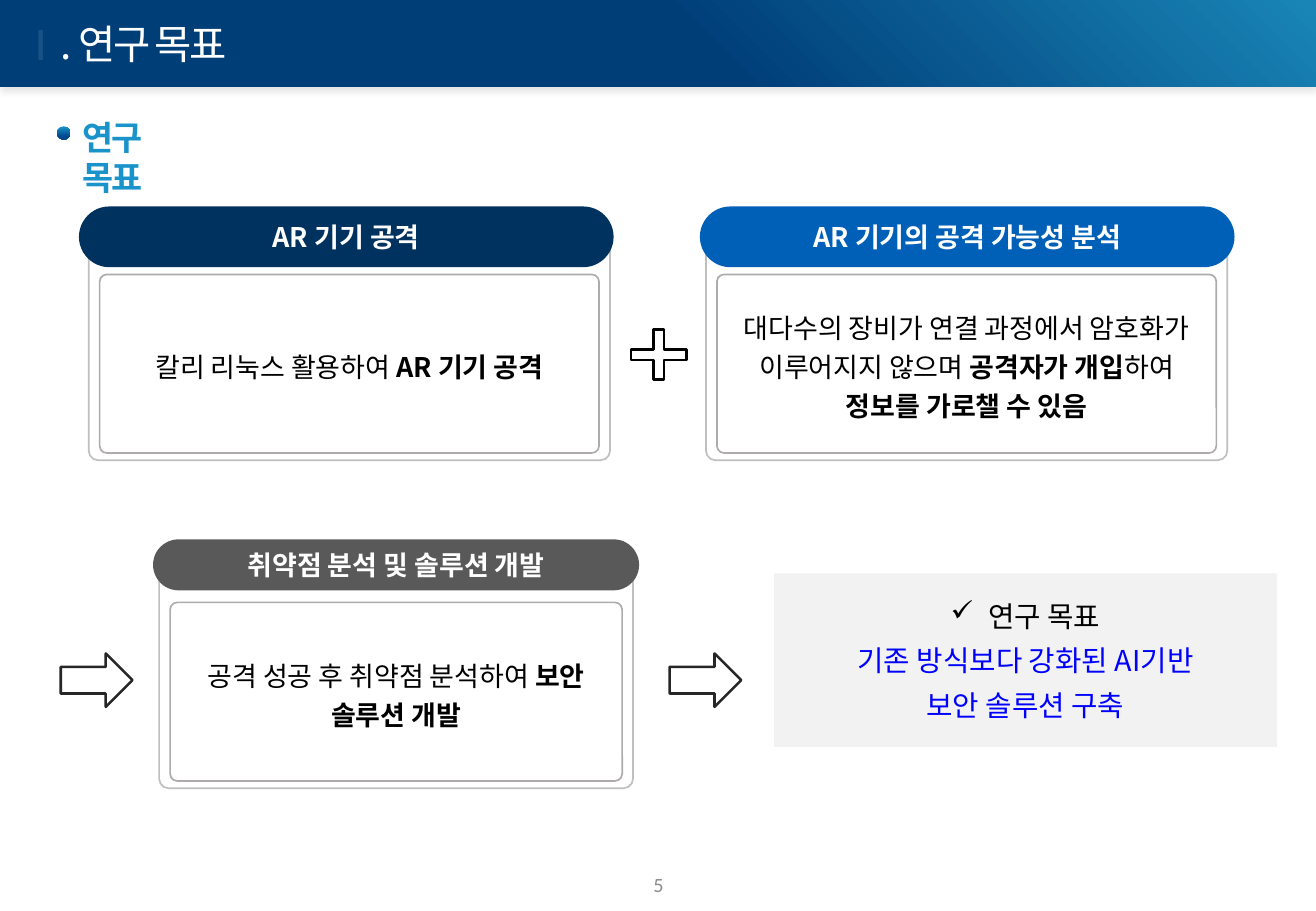
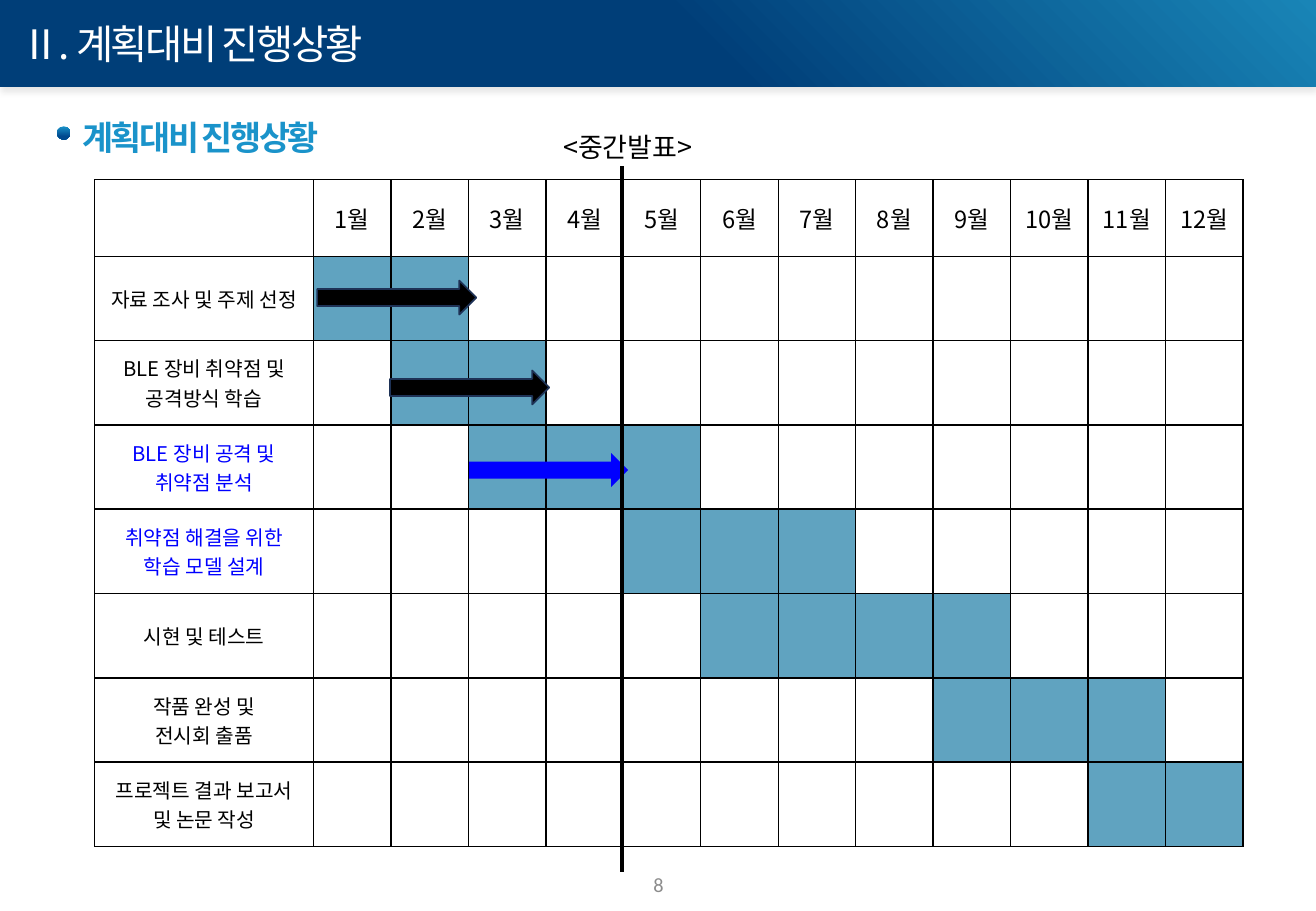
from lxml import etree
from pptx import Presentation
from pptx.dml.color import RGBColor
from pptx.enum.shapes import MSO_CONNECTOR, MSO_SHAPE
from pptx.enum.text import MSO_ANCHOR, PP_ALIGN
from pptx.oxml.ns import qn
from pptx.util import Inches, Pt

RECTANGLE = MSO_SHAPE.RECTANGLE
ROUNDED = MSO_SHAPE.ROUNDED_RECTANGLE
RIGHT_ARROW = MSO_SHAPE.RIGHT_ARROW
OVAL = MSO_SHAPE.OVAL
PLUS = MSO_SHAPE.MATH_PLUS
STRAIGHT = MSO_CONNECTOR.STRAIGHT
MIDDLE, TOP = MSO_ANCHOR.MIDDLE, MSO_ANCHOR.TOP
CENTER, LEFT = PP_ALIGN.CENTER, PP_ALIGN.LEFT

WHITE = RGBColor(0xFF, 0xFF, 0xFF)
BLACK = RGBColor(0x00, 0x00, 0x00)
BLUE = RGBColor(0x00, 0x00, 0xFF)
SKY = RGBColor(0x1A, 0x93, 0xCA)
DEEP_SKY = RGBColor(0x00, 0x49, 0x8E)
BAND_LIGHT = RGBColor(0x19, 0x85, 0xB7)
BAND_DARK = RGBColor(0x00, 0x3E, 0x78)
NAVY = RGBColor(0x00, 0x32, 0x60)
ROYAL = RGBColor(0x00, 0x60, 0xB8)
GRAY = RGBColor(0x59, 0x59, 0x59)
CARD_LINE = RGBColor(0xBF, 0xBF, 0xBF)
INNER_LINE = RGBColor(0xAF, 0xAB, 0xAB)
PANEL = RGBColor(0xF2, 0xF2, 0xF2)
CHARCOAL = RGBColor(0x26, 0x26, 0x26)
NUMBER_GRAY = RGBColor(0x8C, 0x8C, 0x8C)
PLAN_FILL = RGBColor(0x60, 0xA3, 0xC0)
ARROW_LINE = RGBColor(0x1E, 0x32, 0x56)

KOREAN = "Noto Sans CJK KR"
LATIN = "Calibri"
SLIDE_WIDTH, SLIDE_HEIGHT = 10.83, 7.5


def add_child(parent, tag, **attributes):
    child = etree.SubElement(parent, qn(tag))
    for name, value in attributes.items():
        child.set(name, str(value))
    return child


def add_alpha_color(parent, color, alpha):
    color_element = add_child(parent, "a:srgbClr", val=color)
    add_child(color_element, "a:alpha", val=alpha * 1000)


def outline_text(run, color, alpha):
    properties = run.font._element
    line = add_child(properties, "a:ln", w=Pt(0.25))
    add_alpha_color(add_child(line, "a:solidFill"), color, alpha)
    properties.insert(0, line)


def add_run(paragraph, text, size=16, color=BLACK, bold=False, font=KOREAN,
            spacing=0, faint_outline=False):
    for index, part in enumerate(text.split("\n")):
        if index:
            paragraph.add_line_break()
        run = paragraph.add_run()
        run.text = part
        run.font.size = Pt(size)
        run.font.bold = bold
        run.font.color.rgb = color
        run.font.name = font
        properties = run.font._element
        add_child(properties, "a:ea", typeface=font)
        if spacing:
            properties.set("spc", str(round(spacing * 100)))
        if faint_outline:
            outline_text(run, WHITE, 10)


def write_text(frame, paragraphs, align=CENTER, anchor=MIDDLE, line_spacing=None,
               before=0, after=0, **style):
    """Each paragraph is a string or a list of (text, style changes)."""
    frame.word_wrap = True
    frame.vertical_anchor = anchor
    for index, runs in enumerate(paragraphs):
        paragraph = frame.add_paragraph() if index else frame.paragraphs[0]
        paragraph.alignment = align
        if line_spacing:
            paragraph.line_spacing = line_spacing
        if before and index:
            paragraph.space_before = Pt(before)
        if after:
            paragraph.space_after = Pt(after)
        for text, changes in [(runs, {})] if isinstance(runs, str) else runs:
            add_run(paragraph, text, **{**style, **changes})


def add_text(slide, box, paragraphs, **style):
    text_box = slide.shapes.add_textbox(*map(Inches, box))
    write_text(text_box.text_frame, paragraphs, **style)


def add_box(slide, kind, box, fill, line=None, line_width=1, adjustment=None):
    shape = slide.shapes.add_shape(kind, *map(Inches, box))
    shape.shadow.inherit = False
    if isinstance(fill, RGBColor):
        shape.fill.solid()
        shape.fill.fore_color.rgb = fill
    if line is None:
        shape.line.fill.background()
    else:
        shape.line.color.rgb = line
        shape.line.width = Pt(line_width)
    if adjustment is not None:
        shape.adjustments[0] = adjustment
    return shape


def fill_gradient(shape, start, end, end_position, angle):
    shape.fill.gradient()
    shape.fill.gradient_angle = angle
    stops = shape.fill.gradient_stops
    for stop, color, position in zip(stops, (start, end), (0, end_position)):
        stop.color.rgb = color
        stop.position = position


# Parts that both slides share
def add_frame(slide, title_runs, heading, heading_width, number):
    band = add_box(slide, RECTANGLE, (0, 0, SLIDE_WIDTH, 0.71), None)
    fill_gradient(band, BAND_LIGHT, BAND_DARK, 0.47, 225)
    effects = band._element.spPr.find(qn("a:effectLst"))
    shadow = add_child(effects, "a:outerShdw", blurRad=Pt(4), dist=Pt(3),
                       dir=5400000, algn="t", rotWithShape=0)
    add_alpha_color(shadow, BLACK, 10)
    add_text(slide, (0.07, 0.11, 3.84, 0.5), [title_runs], align=LEFT, anchor=TOP,
             size=24, color=WHITE, spacing=-1.5)
    dot = add_box(slide, OVAL, (0.47, 1.04, 0.11, 0.11), None)
    fill_gradient(dot, SKY, DEEP_SKY, 0.76, 270)
    add_text(slide, (0.58, 0.91, heading_width, 0.44), [heading], align=LEFT,
             anchor=TOP, size=20, color=SKY, bold=True, spacing=-1.5)
    add_text(slide, (4.2, 7.08, 2.44, 0.4), [number], size=12, font=LATIN,
             color=NUMBER_GRAY)


def add_card(slide, box, header_box, header_color, header, body):
    left, top, width, height = box
    add_box(slide, ROUNDED, box, WHITE, CARD_LINE, adjustment=0.04)
    pill = add_box(slide, ROUNDED, header_box, header_color, adjustment=0.5)
    write_text(pill.text_frame, [header], color=WHITE, bold=True)
    inner_box = (left + 0.09, top + 0.43, width - 0.18, height - 0.49)
    inner = add_box(slide, ROUNDED, inner_box, WHITE, INNER_LINE, adjustment=0.04)
    write_text(inner.text_frame, [body], line_spacing=1.2, after=4)


def add_goal_panel(slide, box):
    panel = add_box(slide, RECTANGLE, box, PANEL)
    blue = {"color": BLUE}
    write_text(panel.text_frame,
               ["연구 목표", [("기존 방식보다 강화된 AI기반", blue)],
                [("보안 솔루션 구축", blue)]],
               size=17, before=6)
    properties = panel.text_frame.paragraphs[0]._p.get_or_add_pPr()
    properties.set("marL", str(Inches(0.31)))
    properties.set("indent", str(Inches(-0.31)))
    add_child(properties, "a:buChar", char="✓")


def build_goal_slide(slide):
    add_frame(slide, [("Ⅰ", {"spacing": -0.7, "faint_outline": True}),
                      (". 연구 목표", {})], "연구 목표", 1.15, "5")
    bold = {"bold": True}
    cards = [
        ((0.73, 1.83, 4.29, 1.96), (0.65, 1.7, 4.4, 0.5), NAVY, "AR 기기 공격",
         [("칼리 리눅스 활용하여 ", {}), ("AR 기기 공격", bold)]),
        ((5.81, 1.83, 4.29, 1.96), (5.76, 1.7, 4.4, 0.5), ROYAL,
         "AR 기기의 공격 가능성 분석",
         [("대다수의 장비가 연결 과정에서 암호화가 이루어지지 않으며 ", {}),
          ("공격자가 개입", bold), ("하여 ", {}), ("정보를 가로챌 수 있음", bold)]),
        ((1.31, 4.53, 3.9, 1.96), (1.26, 4.44, 4, 0.42), GRAY,
         "취약점 분석 및 솔루션 개발",
         [("공격 성공 후 취약점 분석하여 ", {}), ("보안 솔루션 개발", bold)]),
    ]
    for card in cards:
        add_card(slide, *card)
    add_box(slide, PLUS, (5.11, 2.64, 0.62, 0.56), WHITE, BLACK, 1.5, 0.153)
    for left in (0.5, 5.51):
        add_box(slide, RIGHT_ARROW, (left, 5.38, 0.59, 0.44), WHITE, CHARCOAL, 1.5)
    add_goal_panel(slide, (6.37, 4.72, 4.14, 1.43))


# Schedule: label paragraphs, label colour, first and last planned month
TASKS = [
    (["자료 조사 및 주제 선정"], BLACK, 1, 2),
    (["BLE 장비 취약점 및\n공격방식 학습"], BLACK, 2, 3),
    (["BLE 장비 공격 및\n취약점 분석"], BLUE, 3, 5),
    (["취약점 해결을 위한\n학습 모델 설계"], BLUE, 5, 7),
    (["시현 및 테스트"], BLACK, 6, 9),
    (["작품 완성 및", "전시회 출품"], BLACK, 9, 11),
    (["프로젝트 결과 보고서 및 논문 작성"], BLACK, 11, 12),
]


def format_cell(cell, fill=None):
    if fill is None:
        cell.fill.background()
    else:
        cell.fill.solid()
        cell.fill.fore_color.rgb = fill
    properties = cell._tc.get_or_add_tcPr()
    for index, side in enumerate(("a:lnL", "a:lnR", "a:lnT", "a:lnB")):
        border = add_child(properties, side, w=Pt(1))
        add_child(add_child(border, "a:solidFill"), "a:srgbClr", val=BLACK)
        properties.insert(index, border)


def add_schedule(slide, box, label_width=1.8, header_height=0.63):
    left, top, width, height = box
    table = slide.shapes.add_table(len(TASKS) + 1, 13, *map(Inches, box)).table
    table.first_row = table.horz_banding = False
    for index, column in enumerate(table.columns):
        column.width = Inches((width - label_width) / 12 if index else label_width)
    for index, row in enumerate(table.rows):
        row.height = Inches((height - header_height) / len(TASKS) if index
                            else header_height)
    format_cell(table.cell(0, 0))
    for month in range(1, 13):
        cell = table.cell(0, month)
        format_cell(cell)
        write_text(cell.text_frame, [f"{month}월"], size=14)
        cell.vertical_anchor = MIDDLE
    for row, (label, color, first, last) in enumerate(TASKS, start=1):
        cell = table.cell(row, 0)
        format_cell(cell)
        write_text(cell.text_frame, label, size=12, color=color)
        cell.vertical_anchor = MIDDLE
        for month in range(1, 13):
            planned = first <= month <= last
            format_cell(table.cell(row, month), PLAN_FILL if planned else None)


def build_schedule_slide(slide):
    add_frame(slide, [("Ⅱ. 계획대비 진행상황", {})], "계획대비 진행상황", 2.3, "8")
    add_schedule(slide, (0.78, 1.48, 9.45, 5.49))
    # Progress so far
    for left, top, fill, line in ((2.61, 2.31, BLACK, ARROW_LINE),
                                  (3.21, 3.05, BLACK, ARROW_LINE),
                                  (3.86, 3.73, BLUE, None)):
        add_box(slide, RIGHT_ARROW, (left, top, 1.31, 0.28), fill, line)
    # Midterm marker
    marker = slide.shapes.add_connector(
        STRAIGHT, *map(Inches, (5.12, 1.37, 5.12, 7.18)))
    marker.line.color.rgb = BLACK
    marker.line.width = Pt(2.5)
    add_child(marker._element.spPr, "a:effectLst")
    add_text(slide, (4.38, 0.89, 1.57, 0.47), ["<중간발표>"], anchor=TOP,
             line_spacing=1.5)


def main():
    presentation = Presentation()
    presentation.slide_width = Inches(SLIDE_WIDTH)
    presentation.slide_height = Inches(SLIDE_HEIGHT)
    blank = presentation.slide_layouts[6]
    for build in (build_goal_slide, build_schedule_slide):
        build(presentation.slides.add_slide(blank))
    presentation.save("out.pptx")


if __name__ == "__main__":
    main()
